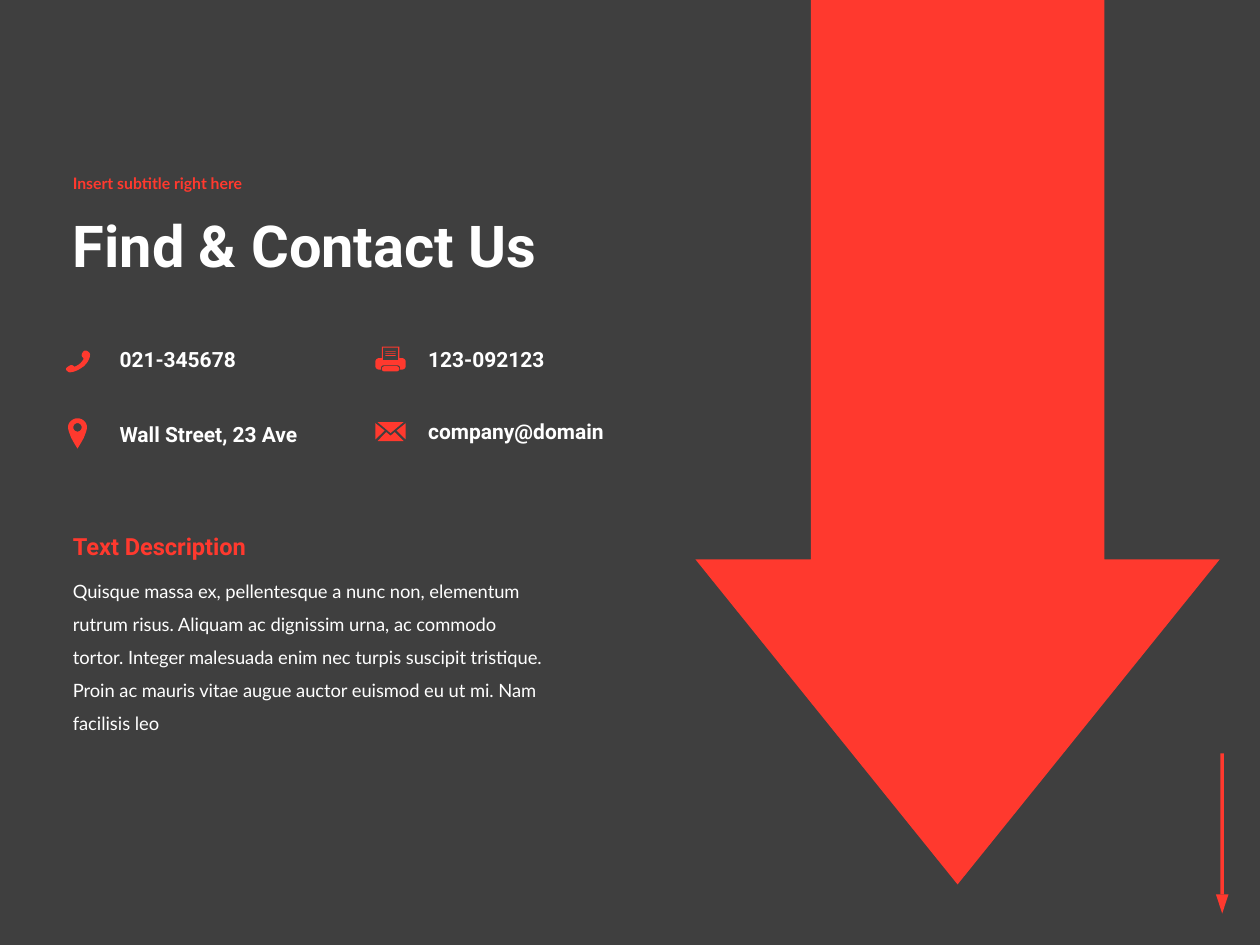
from math import cos, pi, sin
from pptx import Presentation
from pptx.dml.color import RGBColor
from pptx.enum.shapes import MSO_SHAPE
from pptx.enum.text import MSO_ANCHOR
from pptx.util import Emu, Inches, Pt

COLORS = {"bg": "3F3F3F", "accent": "FF392E", "text": "FFFFFF"}
COLS, ROWS = 100, 75
prs = Presentation()
prs.slide_width, prs.slide_height = Inches(10), Inches(7.5)
COL, ROW = prs.slide_width / COLS, prs.slide_height / ROWS

# Text formats
TITLE = {"size": Pt(33), "name": "Roboto", "bold": True, "color": "text"}
SUBTITLE = {"size": Pt(9), "name": "Lato", "bold": True, "color": "accent"}
HEADING = {"size": Pt(13.5), "name": "Roboto", "bold": True, "color": "accent"}
BODY = {"size": Pt(10.5), "name": "Lato", "bold": False, "color": "text"}
CONTACT = {"size": Pt(12), "name": "Roboto", "bold": True, "color": "text"}

# Icon outlines in percent of their box: 2 numbers a line, 6 a Bezier curve
PHONE = [(70, 33), (65, 28, 60, 22, 70, 6), (80, -6, 90, 6, 95, 11),
         (100, 17, 98, 44, 73, 70), (45, 94, 20, 100, 12, 96),
         (5, 90, -6, 82, 10, 72), (25, 60, 28, 66, 35, 72),
         (38, 72, 50, 66, 60, 56), (66, 46, 75, 40, 70, 33)]
PIN = [(13, 10), (25, 3, 38, 0, 50, 0), (62, 0, 77, 3, 87, 10),
       (97, 17, 100, 23, 100, 30), (100, 36, 96, 44, 88, 57),
       (80, 70, 73, 76, 66, 84), (50, 100), (34, 84),
       (27, 76, 20, 70, 12, 57), (4, 44, 0, 36, 0, 30),
       (0, 23, 3, 17, 13, 10)]
PIN_HOLE = [(50 + 22 * cos(pi * i / 12), 30 + 14 * sin(pi * i / 12))
            for i in range(24)]
PRINTER = [(14, 46), (21, 46), (21, 0), (79, 0), (79, 46), (86, 46),
           (94, 46, 100, 52, 100, 60), (100, 78), (100, 86, 94, 92, 86, 92),
           (81, 92), (83, 82, 80, 75, 73, 75), (27, 75),
           (20, 75, 17, 82, 19, 92), (14, 92), (6, 92, 0, 86, 0, 78),
           (0, 60), (0, 52, 6, 46, 14, 46)]
PRINTER_WINDOW = [(25, 5), (75, 5), (75, 54), (25, 54)]
ENVELOPE = [[(7, 0), (93, 0), (50, 58)],
            [(100, 6), (100, 92), (70, 45)],
            [(0, 6), (30, 45), (0, 92)],
            [(36, 53), (50, 72), (64, 53), (93, 100), (7, 100)]]


def place(box):
    x, y, w, h = box
    return [Emu(round(v)) for v in (x * COL, y * ROW, w * COL, h * ROW)]


def within(box, x, y, w, h):
    """Sub-box given in percent of a box."""
    bx, by, bw, bh = box
    return bx + bw * x / 100, by + bh * y / 100, bw * w / 100, bh * h / 100


def paint(shape):
    shape.shadow.inherit = False
    shape.fill.solid()
    shape.fill.fore_color.rgb = RGBColor.from_string(COLORS["accent"])
    shape.line.fill.background()
    return shape


def add_solid(s, kind, box, rotation=0):
    sp = paint(s.shapes.add_shape(kind, *place(box)))
    sp.rotation = rotation
    return sp


def add_text(s, box, text, style, spacing=1.0, anchor=MSO_ANCHOR.TOP):
    tf = s.shapes.add_textbox(*place(box)).text_frame
    tf.word_wrap, tf.vertical_anchor = True, anchor
    p = tf.paragraphs[0]
    p.line_spacing = spacing
    r = p.add_run()
    r.text = text
    for key, value in style.items():
        if key == "color":
            r.font.color.rgb = RGBColor.from_string(COLORS[value])
        else:
            setattr(r.font, key, value)


def flatten(outline, steps=8):
    """Turn lines and Bezier curves into a list of points."""
    points = []
    for seg in outline:
        if len(seg) == 2:
            points.append(seg)
            continue
        ctrl = [points[-1], seg[:2], seg[2:4], seg[4:]]
        for i in range(1, steps + 1):
            t = i / steps
            weights = ((1 - t) ** 3, 3 * t * (1 - t) ** 2,
                       3 * t * t * (1 - t), t ** 3)
            points.append(tuple(sum(k * c[axis] for k, c in zip(weights, ctrl))
                                for axis in (0, 1)))
    return points


def add_outline(s, box, *outlines):
    x, y, w, h = place(box)
    builder = None
    for outline in outlines:
        pts = [(x + w * px / 100, y + h * py / 100)
               for px, py in flatten(outline)]
        if builder is None:
            builder = s.shapes.build_freeform(*pts[0])
        else:
            builder.move_to(*pts[0])
        builder.add_line_segments(pts[1:], close=True)
    return paint(builder.convert_to_shape())


# Icons
def phone_icon(s, box):
    add_outline(s, box, PHONE)


def pin_icon(s, box):
    add_outline(s, box, PIN, PIN_HOLE)


def printer_icon(s, box):
    add_outline(s, box, PRINTER, PRINTER_WINDOW)
    tray = add_solid(s, MSO_SHAPE.ROUNDED_RECTANGLE, within(box, 21, 78, 58, 21))
    tray.adjustments[0] = 0.5
    for i in range(3):
        add_solid(s, MSO_SHAPE.RECTANGLE, within(box, 33, 18 + 8 * i, 34, 3))


def mail_icon(s, box):
    for part in ENVELOPE:
        add_outline(s, box, part)


# Regions
def big_arrow(s, box):
    arrow = add_solid(s, MSO_SHAPE.DOWN_ARROW, box)
    arrow.adjustments[0], arrow.adjustments[1] = 0.56, 0.62


def corner_arrow(s, box):
    add_solid(s, MSO_SHAPE.RECTANGLE, within(box, 35, 0, 30, 88))
    add_solid(s, MSO_SHAPE.ISOSCELES_TRIANGLE, within(box, 0, 88, 100, 12), 180)


def header(s, box):
    add_text(s, within(box, 0, 15.5, 100, 84.5), "Find & Contact Us", TITLE,
             0.9, MSO_ANCHOR.MIDDLE)
    add_text(s, within(box, 0, 0, 100, 31), "Insert subtitle right here",
             SUBTITLE, 0.9, MSO_ANCHOR.MIDDLE)


def contacts(s, box):
    x, y, _, _ = box
    items = [  # icon, icon box, text box, text
        (phone_icon, (0.1, 0.8, 2, 1.8), (3.4, 0, 16.5, 3), "021-345678"),
        (printer_icon, (24.7, 0.5, 2.4, 2), (27.9, 0, 23, 3), "123-092123"),
        (pin_icon, (0.3, 6.2, 1.5, 2.4), (3.4, 6, 20.2, 3), "Wall Street, 23 Ave"),
        (mail_icon, (24.7, 6.5, 2.4, 1.5), (27.9, 5.7, 23, 3), "company@domain"),
    ]
    for icon, (ix, iy, iw, ih), (tx, ty, tw, th), text in items:
        icon(s, (x + ix, y + iy, iw, ih))
        add_text(s, (x + tx, y + ty, tw, th), text, CONTACT)


def description(s, box):
    add_text(s, within(box, 0, 0, 55, 23), "Text Description", HEADING)
    add_text(s, within(box, 0, 21, 100, 79),
             "Quisque massa ex, pellentesque a nunc non, elementum rutrum risus. "
             "Aliquam ac dignissim urna, ac commodo tortor. Integer malesuada "
             "enim nec turpis suscipit tristique. Proin ac mauris vitae augue "
             "auctor euismod eu ut mi. Nam facilisis leo", BODY, 1.5)


def main():
    s = prs.slides.add_slide(prs.slide_layouts[6])
    s.background.fill.solid()
    s.background.fill.fore_color.rgb = RGBColor.from_string(COLORS["bg"])
    corner_arrow(s, (96.5, 59.8, 1, 12.7))
    big_arrow(s, (55.2, -4.4, 41.6, 74.6))
    header(s, (4.8, 12.7, 56.3, 12.2))
    description(s, (4.8, 41.7, 40, 14.3))
    contacts(s, (5.1, 27, 51, 9))
    prs.save("out.pptx")


if __name__ == "__main__":
    main()
